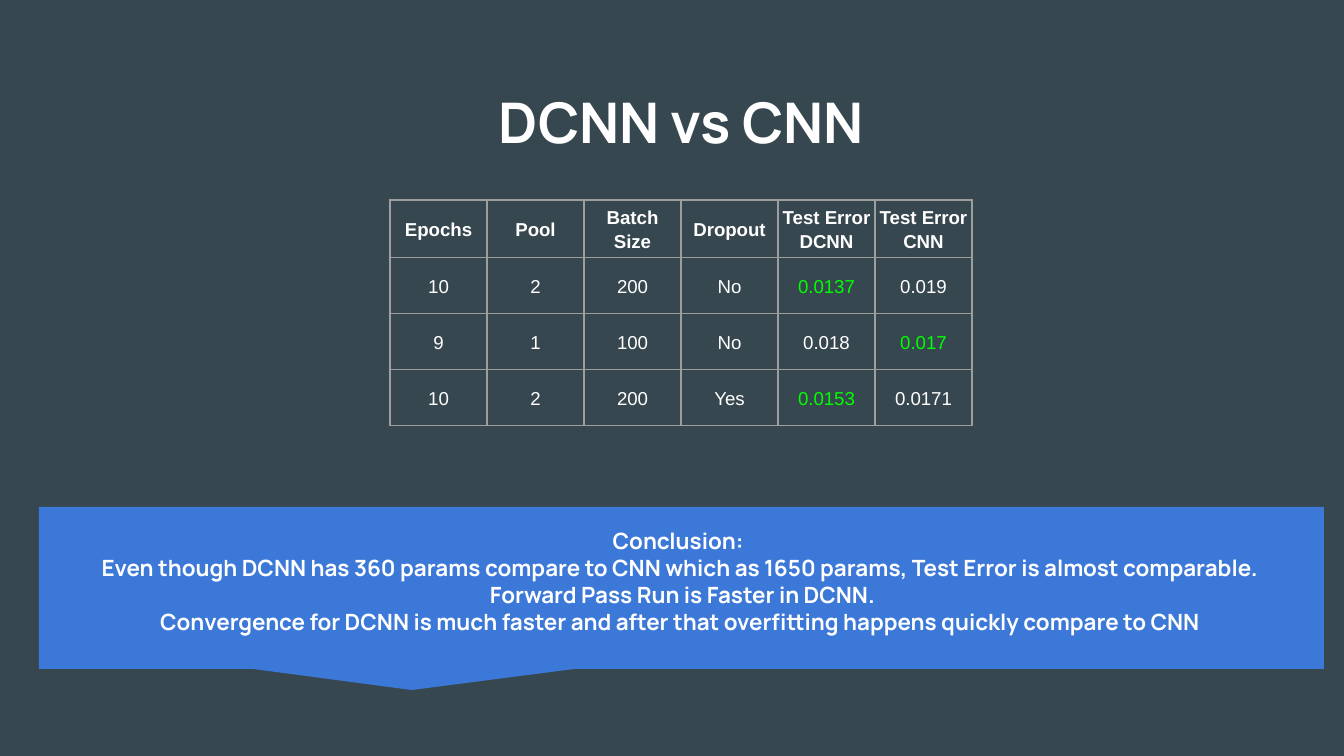
import pptx
import pptx.dml.color
import pptx.enum.shapes
import pptx.enum.text
import pptx.oxml
import pptx.oxml.ns
import pptx.util

SCALE = 914400 / 134.4
COLORS = {
    "background": "37474F",
    "text": "FFFFFF",
    "best": "00FF00",
    "border": "9E9E9E",
    "callout": "3C78D8",
}
HEADERS = ["Epochs", "Pool", "Batch Size", "Dropout", "Test Error DCNN", "Test Error CNN"]
RESULTS = [
    ["10", "2", "200", "No", "0.0137", "0.019"],
    ["9", "1", "100", "No", "0.018", "0.017"],
    ["10", "2", "200", "Yes", "0.0153", "0.0171"],
]
CONCLUSION = [
    "Conclusion: ",
    "Even though DCNN has 360 params compare to CNN which as 1650 params, Test Error is almost comparable.",
    " Forward Pass Run is Faster in DCNN.",
    "Convergence for DCNN is much faster and after that overfitting happens quickly compare to CNN",
]


def px(length):
    return pptx.util.Emu(round(length * SCALE))


def color(name):
    return pptx.dml.color.RGBColor.from_string(COLORS[name])


def write_paragraph(paragraph, text, size=12, font="Manrope", fill="text", bold=True, spacing=None):
    paragraph.alignment = pptx.enum.text.PP_ALIGN.CENTER
    paragraph.line_spacing = spacing
    run = paragraph.add_run()
    run.text = text
    run.font.size = pptx.util.Pt(size)
    run.font.name = font
    run.font.bold = bold
    run.font.color.rgb = color(fill)


def add_text(slide, box, lines, **text_format):
    frame = slide.shapes.add_textbox(*map(px, box)).text_frame
    frame.word_wrap = True
    frame.vertical_anchor = pptx.enum.text.MSO_ANCHOR.MIDDLE
    frame.margin_left = frame.margin_right = px(13)
    frame.margin_top = frame.margin_bottom = px(13)
    for index, line in enumerate(lines):
        paragraph = frame.add_paragraph() if index else frame.paragraphs[0]
        write_paragraph(paragraph, line, **text_format)


def add_cell_borders(cell):
    properties = cell._tc.get_or_add_tcPr()
    for side in ("lnL", "lnR", "lnT", "lnB"):
        properties.append(pptx.oxml.parse_xml(
            f'<a:{side} {pptx.oxml.ns.nsdecls("a")} w="{pptx.util.Pt(0.75)}">'
            f'<a:solidFill><a:srgbClr val="{COLORS["border"]}"/></a:solidFill></a:{side}>'
        ))


def format_cell(cell, text, **text_format):
    cell.vertical_anchor = pptx.enum.text.MSO_ANCHOR.MIDDLE
    cell.margin_left = cell.margin_right = px(4)
    cell.margin_top = cell.margin_bottom = px(3)
    add_cell_borders(cell)
    cell.fill.background()
    write_paragraph(cell.text_frame.paragraphs[0], text, size=10, font="Arial", spacing=1.15, **text_format)


def add_results_table(slide, left, top, column_width, row_height):
    rows = [HEADERS] + RESULTS
    table = slide.shapes.add_table(
        len(rows), len(HEADERS), px(left), px(top),
        px(column_width * len(HEADERS)), px(row_height * len(rows)),
    ).table
    table.first_row = False
    table.horz_banding = False
    for column in table.columns:
        column.width = px(column_width)
    for row_index, values in enumerate(rows):
        table.rows[row_index].height = px(row_height)
        best = min(values[-2:], key=float) if row_index else None
        for column_index, value in enumerate(values):
            format_cell(
                table.cell(row_index, column_index), value,
                bold=row_index == 0, fill="best" if value == best else "text",
            )


def add_callout(slide, box):
    shape = slide.shapes.add_shape(
        pptx.enum.shapes.MSO_SHAPE.RECTANGULAR_CALLOUT, *map(px, box))
    shape.adjustments[0] = -0.21
    shape.adjustments[1] = 0.63
    shape.shadow.inherit = False
    shape.fill.solid()
    shape.fill.fore_color.rgb = color("callout")
    shape.line.fill.background()


def main():
    presentation = pptx.Presentation()
    presentation.slide_width = px(1344)
    presentation.slide_height = px(756)
    slide = presentation.slides.add_slide(presentation.slide_layouts[6])
    slide.background.fill.solid()
    slide.background.fill.fore_color.rgb = color("background")
    add_text(slide, (398, 23, 567, 196), ["DCNN vs CNN"], size=30)
    add_results_table(slide, left=390, top=200, column_width=97, row_height=56)
    add_callout(slide, (39, 507, 1285, 162))
    add_text(slide, (44, 523, 1273, 116), CONCLUSION, spacing=pptx.util.Pt(14.5))
    presentation.save("out.pptx")


if __name__ == "__main__":
    main()
